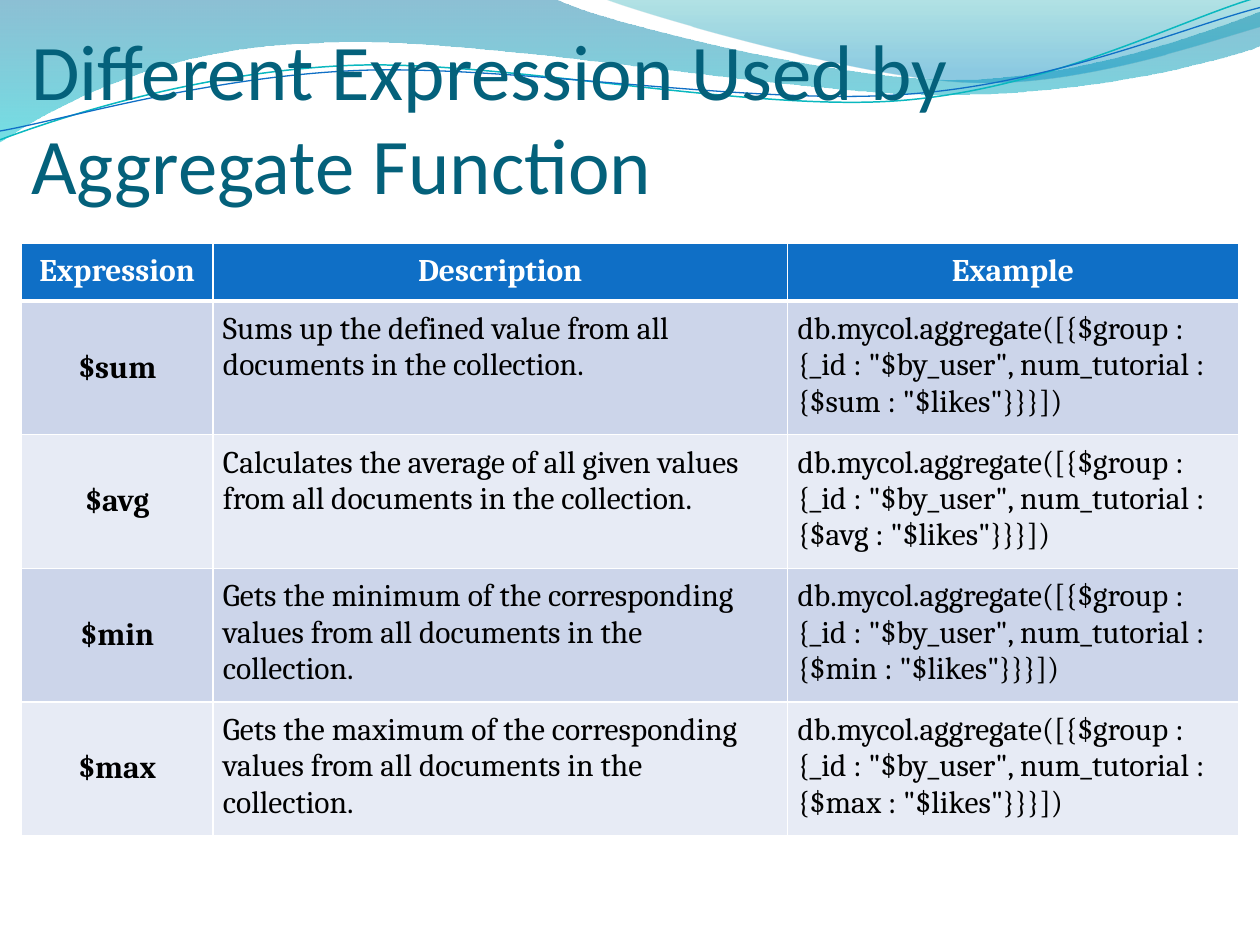
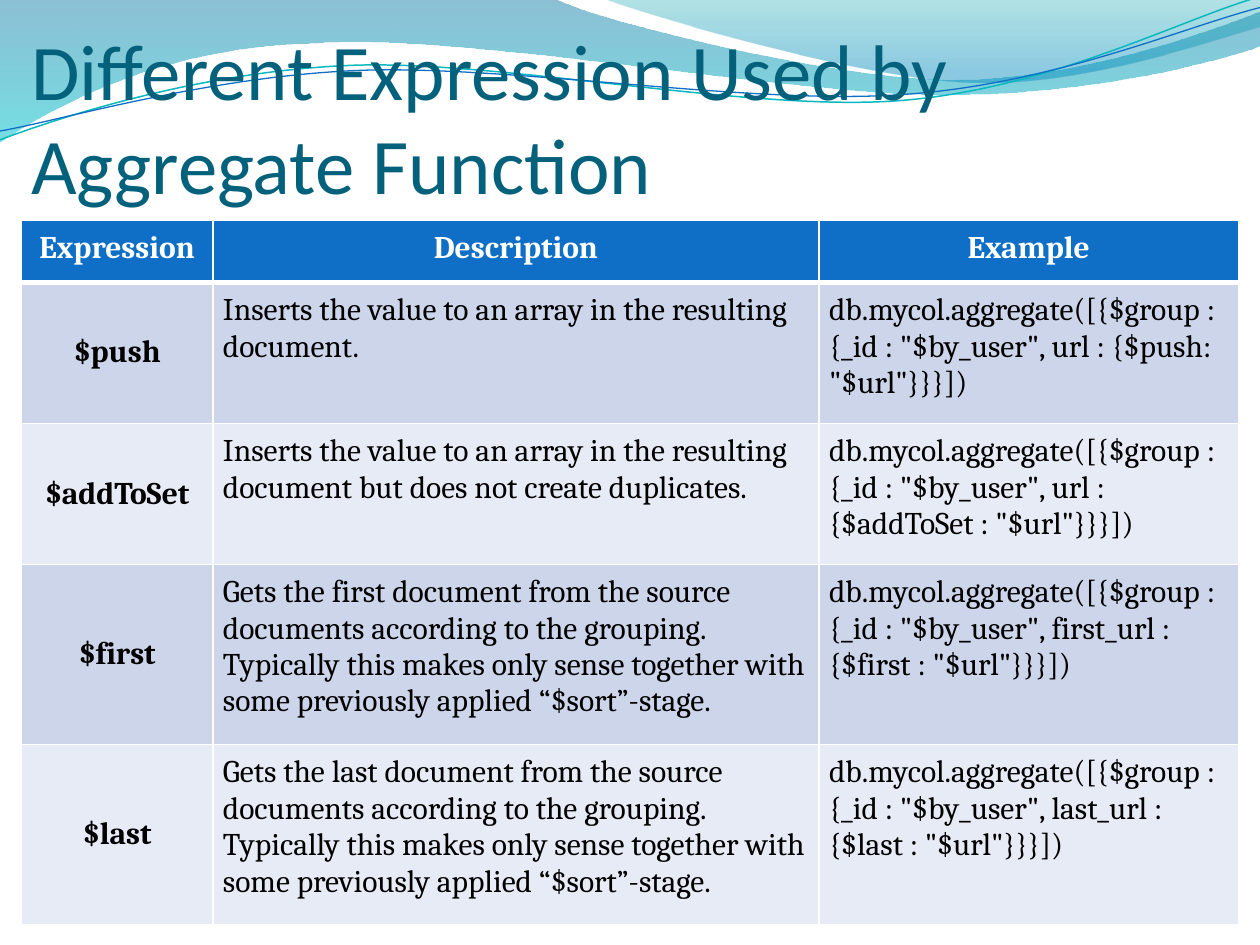
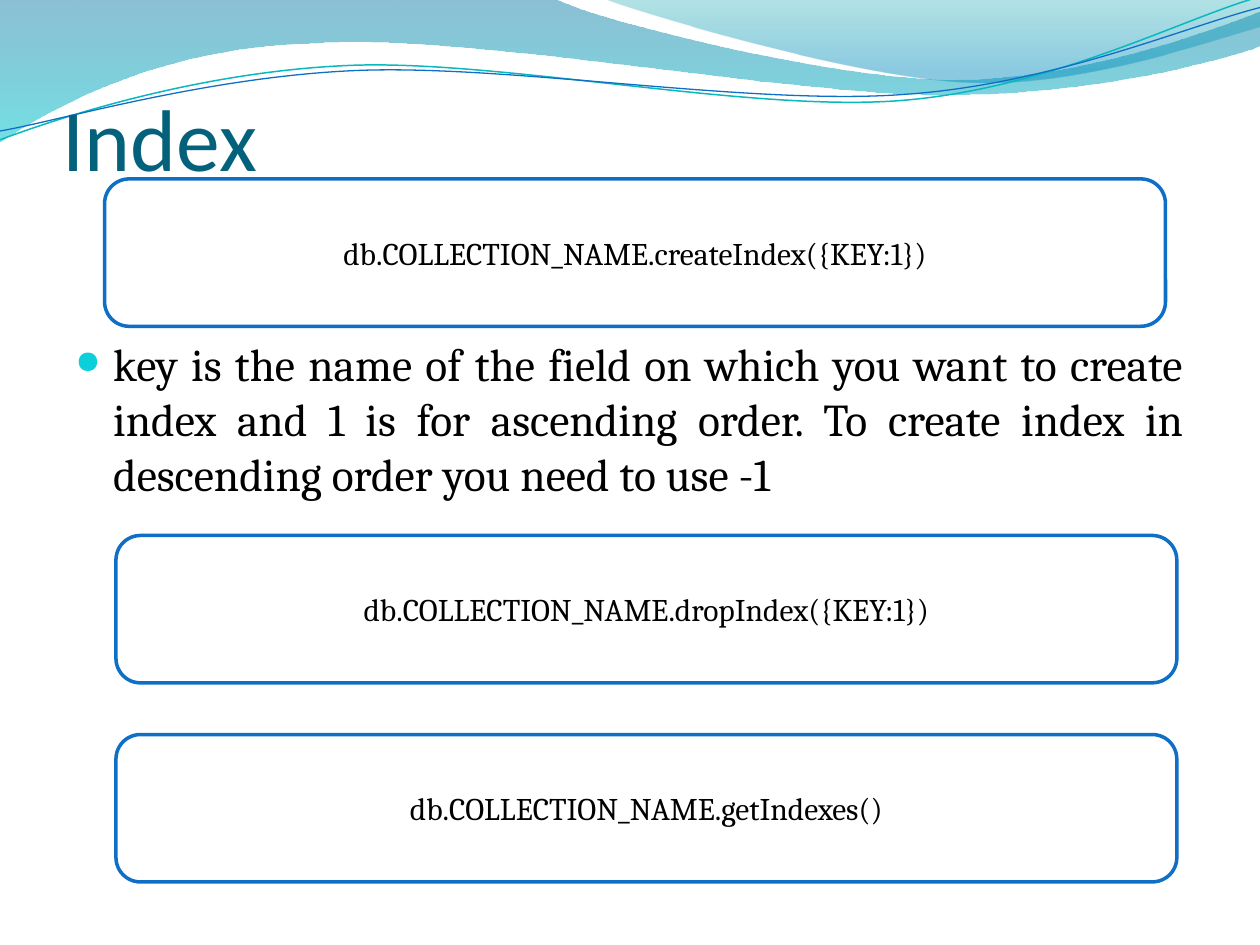
from lxml.etree import SubElement
from pptx import Presentation
from pptx.dml.color import RGBColor
from pptx.enum.shapes import MSO_SHAPE
from pptx.enum.text import MSO_ANCHOR, PP_ALIGN
from pptx.oxml.ns import qn
from pptx.util import Inches, Pt

# Shared style
HEADING_FONT, BODY_FONT = "Calibri", "Cambria"
TITLE_COLOR, BLUE, WHITE, BLACK = "04617B", "0F6FC6", "FFFFFF", "000000"
BULLET_COLOR = "0BD0D9"
ROW_COLORS = ("CCD5EA", "E7EBF5")

# Wave outlines in inches: a start, then line ends (2 numbers) or curves (6 numbers)
LEFT_WAVE = [
    (0, 0), (4.4, -0.01), (4.76, 0.17, 6.64, 0.63, 7.58, 0.63),
    (8.53, 0.63, 9.58, 0.26, 10, 0.09), (10.01, 0.36),
    (9.83, 0.44, 8.7, 0.76, 7.46, 0.75), (6.22, 0.75, 3.82, 0.28, 2.57, 0.34),
    (1.29, 0.36, 0.46, 0.83, -0.01, 1.13), (0, 0),
]
RIGHT_WAVE = [
    (4.79, -0.01), (5.09, 0.11, 6.82, 0.62, 7.69, 0.65),
    (8.56, 0.69, 9.61, 0.32, 10, 0.21), (10, 0), (4.79, -0.01),
]
TEAL_STRAND = [
    (0, 1.11), (0.48, 0.93, 1.58, 0.57, 2.77, 0.52),
    (3.95, 0.47, 5.93, 0.89, 7.13, 0.8), (8.33, 0.71, 9.38, 0.15, 9.98, -0.02),
]
BLUE_STRAND = [
    (0, 1.04), (0.47, 0.96, 1.64, 0.61, 2.83, 0.56),
    (4.03, 0.51, 5.97, 0.84, 7.17, 0.75), (8.36, 0.67, 9.41, 0.21, 10, 0.06),
]

# Table contents: expression, description, example field
TABLE_HEADER = ("Expression", "Description", "Example")
NUMBER_ROWS = [
    ("$sum", "Sums up the defined value from all documents in the collection.",
     'num_tutorial : {$sum : "$likes"}'),
    ("$avg", "Calculates the average of all given values from all documents in the collection.",
     'num_tutorial : {$avg : "$likes"}'),
    ("$min", "Gets the minimum of the corresponding values from all documents in the collection.",
     'num_tutorial : {$min : "$likes"}'),
    ("$max", "Gets the maximum of the corresponding values from all documents in the collection.",
     'num_tutorial : {$max : "$likes"}'),
]
SORT_HINT = ("document from the source documents according to the grouping. Typically this "
             "makes only sense together with some previously applied “$sort”-stage.")
ARRAY_ROWS = [
    ("$push", "Inserts the value to an array in the resulting document.",
     'url : {$push: "$url"}'),
    ("$addToSet", "Inserts the value to an array in the resulting document but does not "
     "create duplicates.", 'url : {$addToSet : "$url"}'),
    ("$first", f"Gets the first {SORT_HINT}", 'first_url : {$first : "$url"}'),
    ("$last", f"Gets the last {SORT_HINT}", 'last_url : {$last : "$url"}'),
]


def color(hex_string):
    return RGBColor.from_string(hex_string)


def write_text(frame, text, size=18, font=BODY_FONT, fill=BLACK, bold=False,
               align=PP_ALIGN.LEFT):
    frame.word_wrap = True
    paragraph = frame.paragraphs[0]
    paragraph.alignment = align
    run = paragraph.add_run()
    run.text = text
    run.font.size = Pt(size)
    run.font.name = font
    run.font.bold = bold
    run.font.color.rgb = color(fill)
    return paragraph


# Waves at the top of every slide
def add_outline(slide, outline, close):
    """Draw through all points, then join each curve's three points into one curve."""
    points = [(Inches(x), Inches(y)) for segment in outline
              for x, y in zip(segment[::2], segment[1::2])]
    builder = slide.shapes.build_freeform(*points[0])
    builder.add_line_segments(points[1:], close=close)
    shape = builder.convert_to_shape()
    shape.shadow.inherit = False

    lines = iter(list(shape.element.iter(qn("a:lnTo"))))
    for segment in outline[1:]:
        line = next(lines)
        if len(segment) == 6:
            curve = line.makeelement(qn("a:cubicBezTo"))
            line.addprevious(curve)
            for part in (line, next(lines), next(lines)):
                curve.append(part[0])
                part.getparent().remove(part)
    return shape


def add_wave(slide, outline, stops):
    shape = add_outline(slide, outline, close=True)
    shape.line.fill.background()
    shape.fill.gradient()
    shape.fill.gradient_angle = 270
    for stop, (position, hex_string, _) in zip(shape.fill.gradient_stops, stops):
        stop.position = position
        stop.color.rgb = color(hex_string)
    color_elements = shape.element.spPr.iter(qn("a:srgbClr"))
    for element, (_, _, opacity) in zip(color_elements, stops):
        SubElement(element, qn("a:alpha"), val=str(opacity * 1000))


def add_strand(slide, outline, hex_string, width):
    shape = add_outline(slide, outline, close=False)
    shape.fill.background()
    shape.line.color.rgb = color(hex_string)
    shape.line.width = Pt(width)


def add_title(slide, text, left, top, width, size):
    box = slide.shapes.add_textbox(Inches(left), Inches(top), Inches(width), Inches(1.25))
    frame = box.text_frame
    frame.margin_left = frame.margin_right = frame.margin_bottom = 0
    frame.vertical_anchor = MSO_ANCHOR.BOTTOM
    write_text(frame, text, size=size, font=HEADING_FONT, fill=TITLE_COLOR)


def new_slide(presentation, title, **title_format):
    slide = presentation.slides.add_slide(presentation.slide_layouts[6])
    add_wave(slide, LEFT_WAVE, [(0, "0074A1", 45), (1, "00C6CF", 55)])
    add_wave(slide, RIGHT_WAVE, [(0, "00A1A9", 30), (0.8, "008BBF", 45)])
    add_strand(slide, TEAL_STRAND, "0AB8BF", 0.85)
    add_strand(slide, BLUE_STRAND, BLUE, 0.75)
    add_title(slide, title, **title_format)
    return slide


# Tables
def style_cell(cell, fill, top_width=1, bottom_width=1):
    cell.margin_left = cell.margin_right = Inches(0.08)
    cell.margin_top = cell.margin_bottom = Inches(0.08)
    properties = cell._tc.get_or_add_tcPr()
    widths = {"a:lnL": 1, "a:lnR": 1, "a:lnT": top_width, "a:lnB": bottom_width}
    for tag, width in widths.items():
        line = SubElement(properties, qn(tag), w=str(Pt(width)))
        SubElement(SubElement(line, qn("a:solidFill")), qn("a:srgbClr"), val=WHITE)
    cell.fill.solid()
    cell.fill.fore_color.rgb = color(fill)


def add_expression_table(slide, rows, top, height, column_widths, row_heights):
    frame = slide.shapes.add_table(
        len(rows) + 1, len(TABLE_HEADER), Inches(0.17), Inches(top),
        Inches(9.67), Inches(height))
    table = frame.table
    for column, width in zip(table.columns, column_widths):
        column.width = Inches(width)
    for row, row_height in zip(table.rows, row_heights):
        row.height = Inches(row_height)
    frame.height = Inches(height)

    for cell, heading in zip(table.rows[0].cells, TABLE_HEADER):
        style_cell(cell, BLUE, bottom_width=3)
        write_text(cell.text_frame, heading, fill=WHITE, bold=True, align=PP_ALIGN.CENTER)

    for index, (expression, description, field) in enumerate(rows):
        cells = list(table.rows[index + 1].cells)
        for cell in cells:
            style_cell(cell, ROW_COLORS[index % 2], top_width=1 if index else 3)
        example = 'db.mycol.aggregate([{$group : {_id : "$by_user", ' + field + "}}])"
        cells[0].vertical_anchor = MSO_ANCHOR.MIDDLE
        write_text(cells[0].text_frame, expression, bold=True, align=PP_ALIGN.CENTER)
        write_text(cells[1].text_frame, description)
        write_text(cells[2].text_frame, example)


# Index slide elements
def add_bullet_text(slide, text):
    box = slide.shapes.add_textbox(Inches(0.5), Inches(2.12), Inches(9), Inches(4.8))
    box.text_frame.margin_top = Inches(0.55)
    paragraph = write_text(box.text_frame, text, size=26, align=PP_ALIGN.JUSTIFY)
    properties = paragraph._p.get_or_add_pPr()
    properties.set("marL", str(Inches(0.3)))
    properties.set("indent", str(Inches(-0.3)))
    SubElement(SubElement(properties, qn("a:buClr")), qn("a:srgbClr"), val=BULLET_COLOR)
    SubElement(properties, qn("a:buSzPct"), val="70000")
    SubElement(properties, qn("a:buChar"), char="●")


def add_command_box(slide, text, left, top):
    shape = slide.shapes.add_shape(MSO_SHAPE.ROUNDED_RECTANGLE, Inches(left), Inches(top),
                                   Inches(8.42), Inches(1.17))
    shape.shadow.inherit = False
    shape.fill.solid()
    shape.fill.fore_color.rgb = color(WHITE)
    shape.line.color.rgb = color(BLUE)
    shape.line.width = Pt(2)
    shape.text_frame.vertical_anchor = MSO_ANCHOR.MIDDLE
    write_text(shape.text_frame, text, align=PP_ALIGN.CENTER)


def main():
    presentation = Presentation()
    presentation.slide_width, presentation.slide_height = Inches(10), Inches(7.5)

    # Expression tables
    tables = [
        (NUMBER_ROWS, 1.93, 4.73, (1.52, 4.56, 3.58), [0.41] * 5),
        (ARRAY_ROWS, 1.75, 5.58, (1.52, 4.81, 3.33), [0.49, 1.12, 1.12, 1.43, 1.43]),
    ]
    for table in tables:
        slide = new_slide(presentation, "Different Expression Used by Aggregate Function",
                          left=0.25, top=0.42, width=9.5, size=45)
        add_expression_table(slide, *table)

    # Index commands
    slide = new_slide(presentation, "Index", left=0.5, top=0.25, width=9, size=50)
    add_bullet_text(slide, "key is the name of the field on which you want to create index and "
                    "1 is for ascending order. To create index in descending order you need "
                    "to use -1")
    for command, left, top in [("createIndex({KEY:1})", 0.83, 1.42),
                               ("dropIndex({KEY:1})", 0.92, 4.25),
                               ("getIndexes()", 0.92, 5.83)]:
        add_command_box(slide, f"db.COLLECTION_NAME.{command}", left, top)

    presentation.save("out.pptx")


if __name__ == "__main__":
    main()
